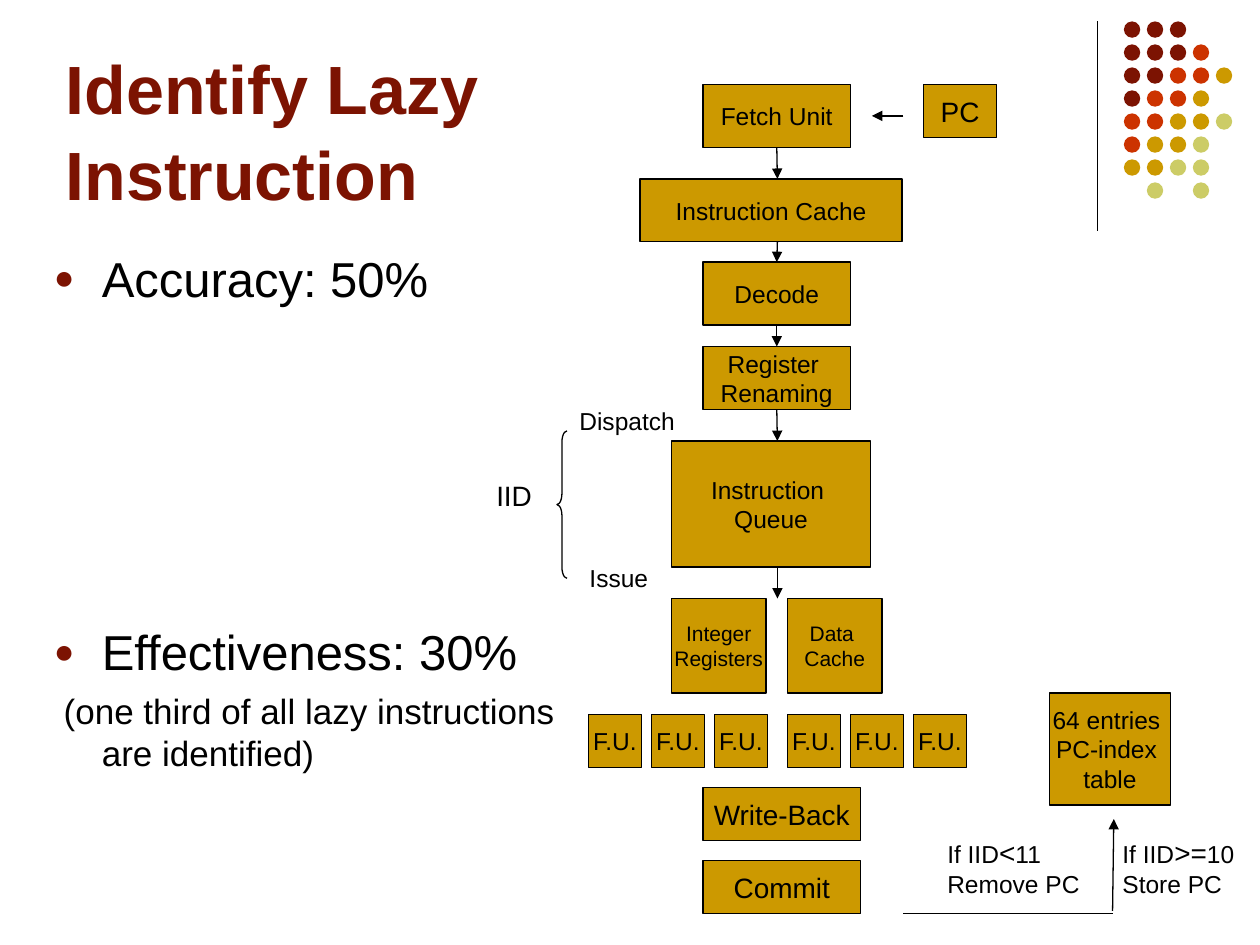
import pptx
import pptx.util
import pptx.dml.color
import pptx.enum.shapes
import pptx.enum.text
import pptx.oxml

Inches = pptx.util.Inches
Pt = pptx.util.Pt
RGB = pptx.dml.color.RGBColor
SHAPE = pptx.enum.shapes.MSO_SHAPE
ALIGN = pptx.enum.text.PP_ALIGN
ANCHOR = pptx.enum.text.MSO_ANCHOR

BLACK = RGB(0x00, 0x00, 0x00)
MAROON = RGB(0x7C, 0x13, 0x02)
RED = RGB(0xCC, 0x33, 0x00)
GOLD = RGB(0xCC, 0x99, 0x00)
OLIVE = RGB(0xCC, 0xCC, 0x66)
NS = 'xmlns:a="http://schemas.openxmlformats.org/drawingml/2006/main"'

deck = pptx.Presentation()
deck.slide_width, deck.slide_height = Inches(10), Inches(7.5)
slide = deck.slides.add_slide(deck.slide_layouts[5])
shapes = slide.shapes


def add_run(para, text, size, color=BLACK, bold=False):
    run = para.add_run()
    run.text = text
    font = run.font
    font.name, font.size, font.bold = "Arial", Pt(size), bold
    font.color.rgb = color


def add_line(x1, y1, x2, y2, arrow=True):
    line = shapes.add_connector(pptx.enum.shapes.MSO_CONNECTOR.STRAIGHT,
                                Inches(x1), Inches(y1), Inches(x2), Inches(y2))
    line.line.color.rgb = BLACK
    line.line.width = Pt(0.75)
    if arrow:
        line.line._get_or_add_ln().append(
            pptx.oxml.parse_xml(f'<a:tailEnd {NS} type="triangle"/>'))
    line._element.spPr.append(pptx.oxml.parse_xml(f"<a:effectLst {NS}/>"))
    return line


# Corner decoration: rule and dot grid
add_line(8.71, 0.17, 8.71, 1.83, arrow=False)
hues = {"M": MAROON, "R": RED, "G": GOLD, "O": OLIVE}
dots = ["MMM", "MMMR", "MMRRG", "MRRG", "RRGGO", "RGGO", "GGOO", " O O"]
pitch = 0.73 / 4
for row, marks in enumerate(dots):
    for col, mark in enumerate(marks):
        if mark in hues:
            dot = shapes.add_shape(SHAPE.OVAL, Inches(8.92 + col * pitch),
                                   Inches(0.17 + row * pitch), Inches(0.13), Inches(0.13))
            dot.shadow.inherit = False
            dot.fill.solid()
            dot.fill.fore_color.rgb = hues[mark]
            dot.line.fill.background()

# Title
title = shapes.title
title.left, title.top = Inches(0.42), Inches(0.33)
title.width, title.height = Inches(8.25), Inches(1.42)
title.text_frame.vertical_anchor = ANCHOR.BOTTOM
title.text_frame.auto_size = pptx.enum.text.MSO_AUTO_SIZE.NONE
para = title.text_frame.paragraphs[0]
para.alignment = ALIGN.LEFT
para.line_spacing = 1.05
add_run(para, "Identify Lazy ", 39, MAROON, True)
para.add_line_break()
add_run(para, "Instruction", 39, MAROON, True)

# Findings
body = shapes.add_textbox(Inches(0.33), Inches(1.92), Inches(4.42), Inches(4.82)).text_frame
body.word_wrap = True
points = [("Accuracy: 50%", 28, 7, True), ("Effectiveness: 30%", 28, 180, True),
          (" (one third of all lazy instructions are identified)", 20, 5, False)]
for i, (text, size, gap, bullet) in enumerate(points):
    para = body.add_paragraph() if i else body.paragraphs[0]
    para.space_before = Pt(gap)
    add_run(para, text, size)
    props = para._p.get_or_add_pPr()
    props.set("marL", str(Inches(0.38)))
    props.set("indent", str(Inches(-0.38)))
    if bullet:
        for tag in (f'<a:buClr {NS}><a:srgbClr val="{MAROON}"/></a:buClr>',
                    f'<a:buSzPct {NS} val="70000"/>',
                    f'<a:buFont {NS} typeface="Arial"/>',
                    f'<a:buChar {NS} char="●"/>'):
            props.append(pptx.oxml.parse_xml(tag))

# Pipeline boxes: lines, left, top, width, height, size
boxes = [
    (["Fetch Unit"], 5.58, 0.67, 1.17, 0.5, 14),
    (["Instruction Cache"], 5.08, 1.42, 2.08, 0.5, 14),
    (["Decode"], 5.58, 2.08, 1.17, 0.5, 14),
    (["Register ", "Renaming"], 5.58, 2.75, 1.17, 0.5, 14),
    (["Instruction ", "Queue"], 5.33, 3.5, 1.58, 1, 14),
    ([" Integer ", "Registers"], 5.33, 4.75, 0.75, 0.75, 12),
    (["Data ", "Cache"], 6.25, 4.75, 0.75, 0.75, 12),
    (["PC"], 7.33, 0.67, 0.58, 0.42, 16),
    (["64 entries ", "PC-index ", "table"], 8.33, 5.5, 0.96, 0.89, 14),
    (["Write-Back"], 5.58, 6.25, 1.25, 0.42, 16),
    (["Commit"], 5.58, 6.83, 1.25, 0.42, 16),
]
for start in (4.67, 6.25):
    boxes += [(["F.U."], start + 0.5 * i, 5.67, 0.42, 0.42, 14) for i in range(3)]
made = {}
for lines, x, y, w, h, size in boxes:
    box = shapes.add_shape(SHAPE.RECTANGLE, Inches(x), Inches(y), Inches(w), Inches(h))
    box.shadow.inherit = False
    box.fill.solid()
    box.fill.fore_color.rgb = GOLD
    box.line.color.rgb = BLACK
    box.line.width = Pt(0.75)
    frame = box.text_frame
    frame.word_wrap = False
    frame.vertical_anchor = ANCHOR.MIDDLE
    for i, text in enumerate(lines):
        para = frame.add_paragraph() if i else frame.paragraphs[0]
        para.alignment = ALIGN.CENTER
        add_run(para, text, size)
    made[lines[0].strip()] = box

# Arrows down the pipeline, joined where they meet a side's middle
flow = [(1.17, 1.42, "Fetch Unit", None), (1.92, 2.08, None, "Decode"),
        (2.58, 2.75, "Decode", "Register"), (3.25, 3.5, "Register", None),
        (4.5, 4.75, None, None)]
for top, end, tail, head in flow:
    line = add_line(6.17, top, 6.17, end)
    if tail:
        line.begin_connect(made[tail], 2)
    if head:
        line.end_connect(made[head], 0)

# Side arrows: PC to fetch, commit to table
add_line(7.17, 0.92, 6.92, 0.92)
add_line(7.17, 7.25, 8.83, 7.25, arrow=False)
add_line(8.83, 7.23, 8.84, 6.5)

# Brace over the dispatch to issue span
brace = shapes.add_shape(SHAPE.LEFT_BRACE, Inches(4.42), Inches(3.42), Inches(0.08), Inches(1.17))
brace.adjustments[0] = 1.1
brace.shadow.inherit = False
brace.fill.background()
brace.line.color.rgb = BLACK
brace.line.width = Pt(0.75)

# Labels: each line is a list of runs
labels = [
    (4.5, 3.17, 0.96, 0.34, [[("Dispatch", 14)]]),
    (4.58, 4.42, 0.72, 0.34, [[("Issue", 14)]]),
    (3.84, 3.75, 0.48, 0.37, [[("IID", 16)]]),
    (7.42, 6.58, 1.3, 0.6, [[("If IID", 14), ("<", 16), ("11", 14)], [("Remove PC", 14)]]),
    (8.81, 6.58, 1.19, 0.6, [[("If IID", 14), (">=", 16), ("10", 14)], [("Store PC", 14)]]),
]
for x, y, w, h, lines in labels:
    frame = shapes.add_textbox(Inches(x), Inches(y), Inches(w), Inches(h)).text_frame
    frame.word_wrap = False
    for i, runs in enumerate(lines):
        para = frame.add_paragraph() if i else frame.paragraphs[0]
        for text, size in runs:
            add_run(para, text, size)

deck.save("out.pptx")
